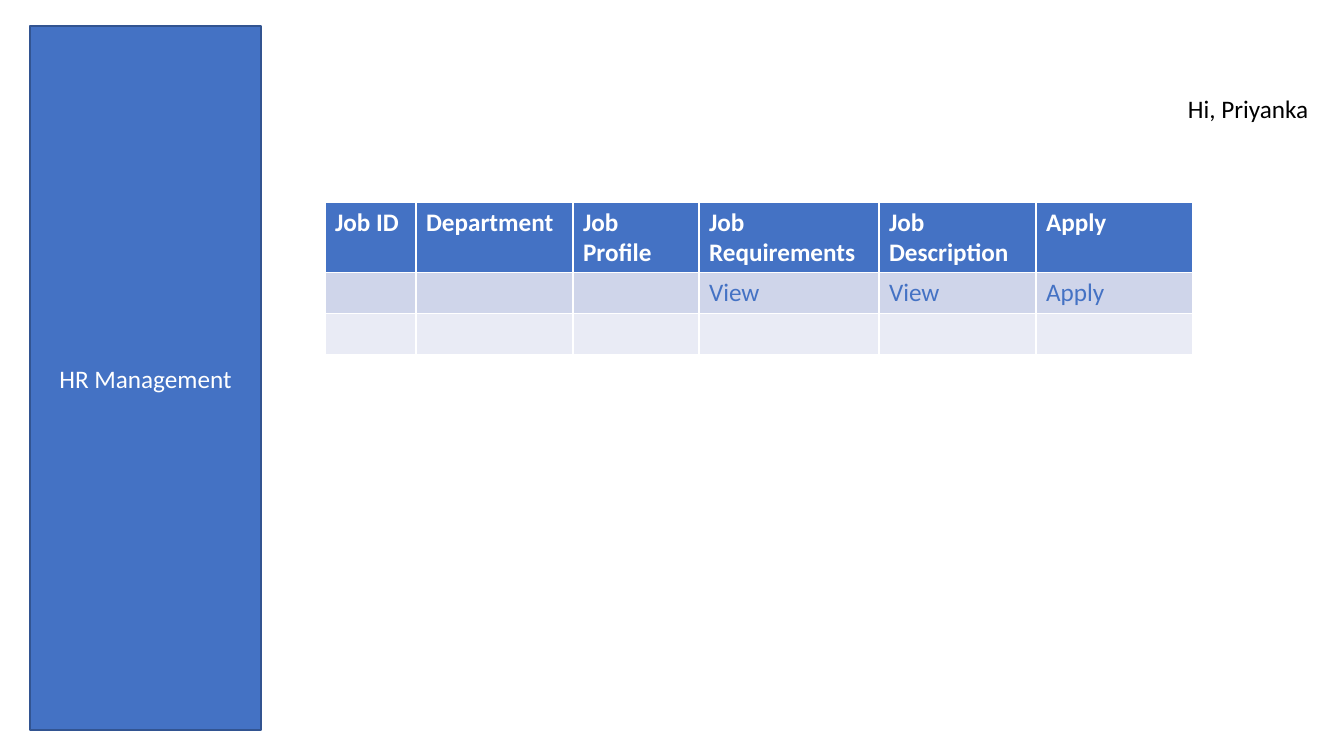
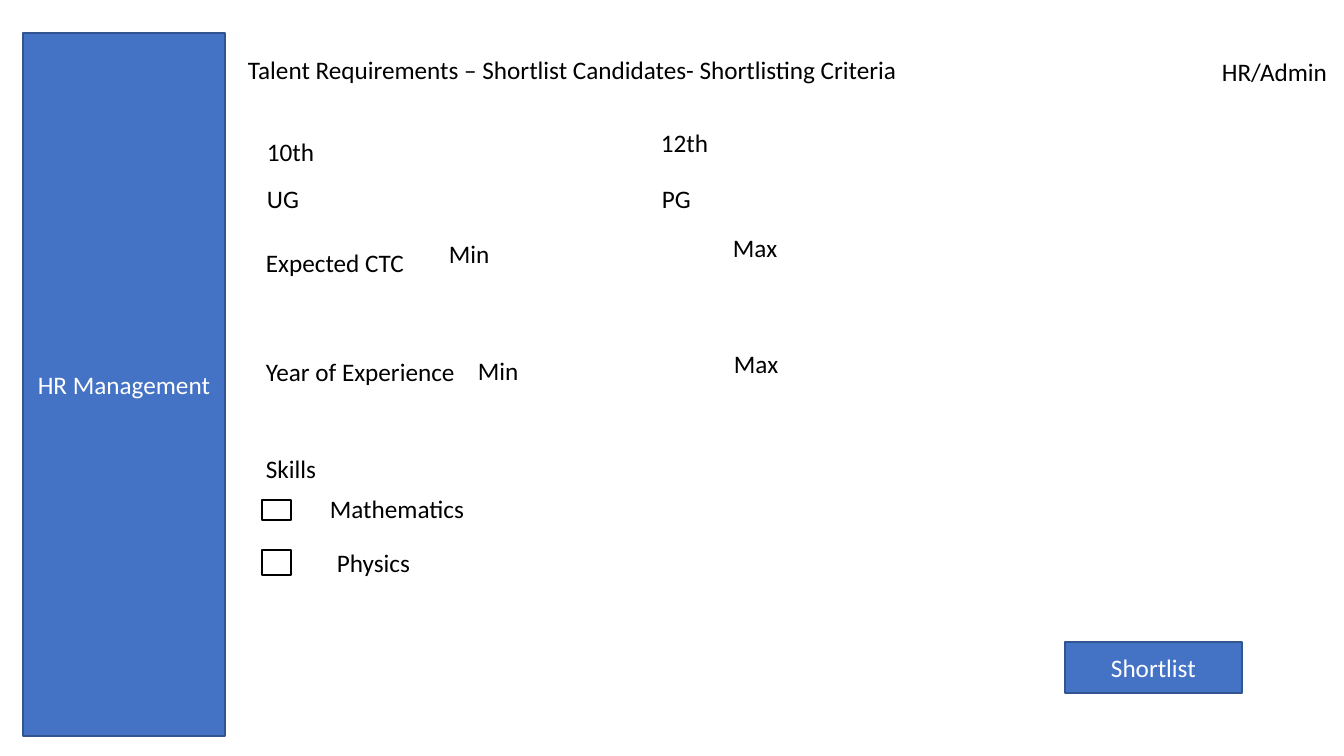
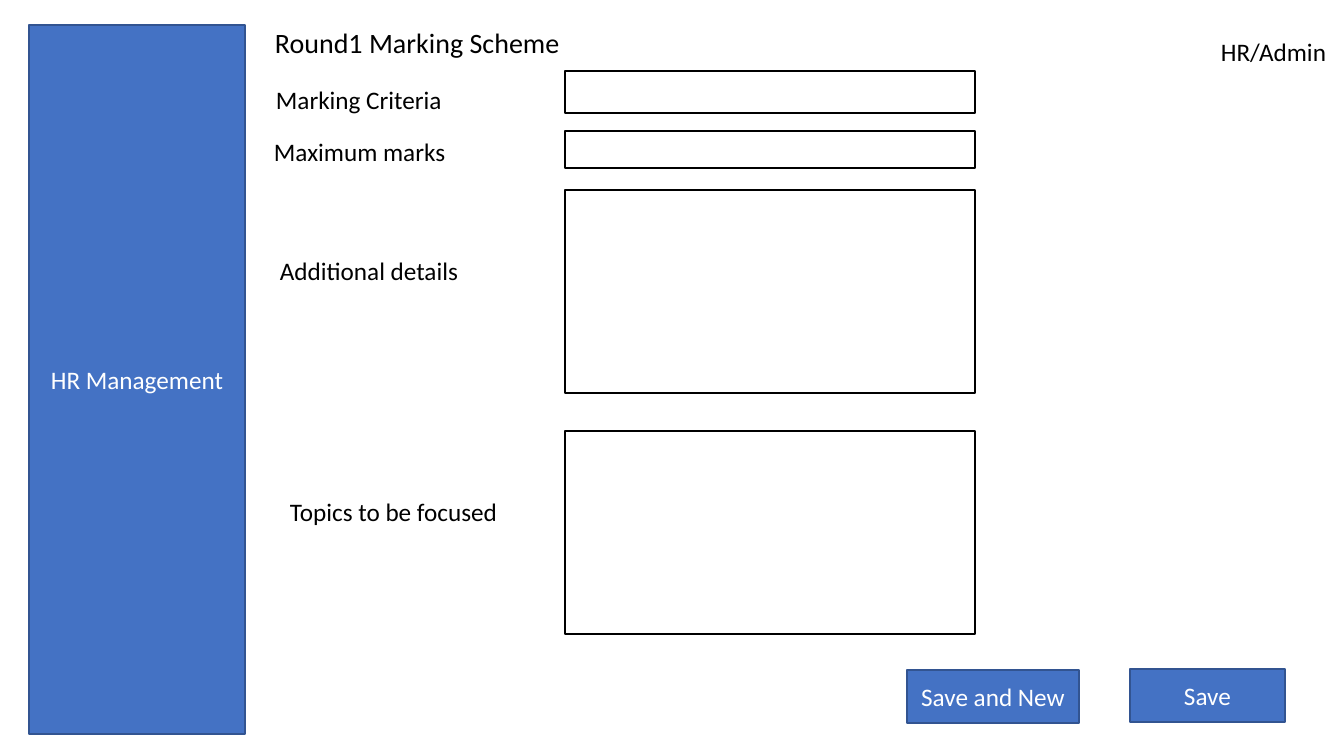
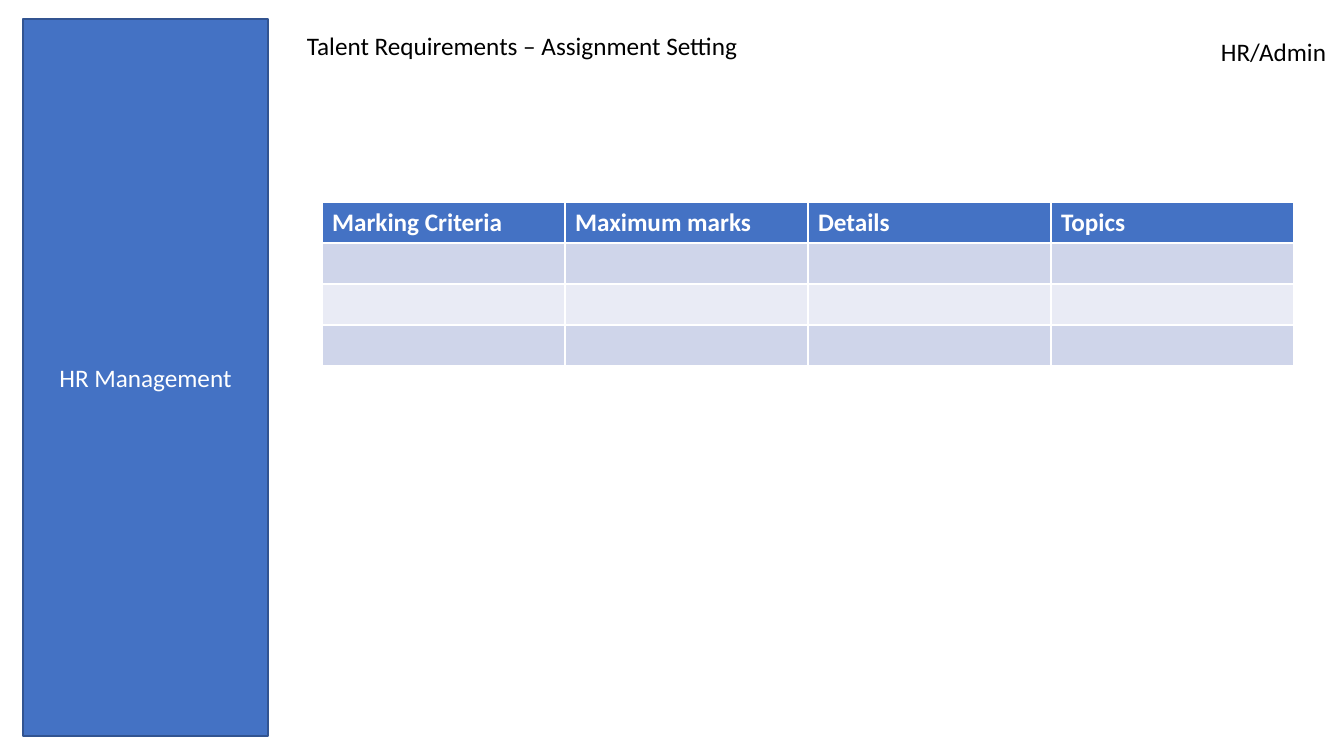
from dataclasses import dataclass

from pptx import Presentation
from pptx.dml.color import RGBColor as RGB
from pptx.enum.shapes import MSO_SHAPE as SHAPE
from pptx.enum.text import MSO_ANCHOR as ANCHOR, MSO_AUTO_SIZE as AUTO, PP_ALIGN as ALIGN
from pptx.util import Pt


@dataclass(frozen=True)
class Theme:
    font: str = "Calibri"
    body: int = 18
    title: int = 20
    blue: RGB = RGB.from_string("4472C4")
    edge: RGB = RGB.from_string("325491")
    white: RGB = RGB.from_string("FFFFFF")
    black: RGB = RGB.from_string("000000")
    bands: tuple = (RGB.from_string("E9EBF5"), RGB.from_string("CFD5EA"))


T = Theme()
PX = 914400 / 100.8
LINE_H = 40


def write(tf, text, size=T.body, color=T.black, bold=False, align=ALIGN.LEFT, spacing=None):
    tf.word_wrap = True
    p = tf.paragraphs[0]
    p.alignment = align
    p.line_spacing = spacing
    p.font.size = Pt(size)
    if text:
        r = p.add_run()
        r.text = text
        r.font.name = T.font
        r.font.size = Pt(size)
        r.font.bold = bold
        r.font.color.rgb = color


def rect(s, x, y, w, h, text="", fill=T.blue, line=T.edge):
    sp = s.shapes.add_shape(SHAPE.RECTANGLE, *(round(v * PX) for v in (x, y, w, h)))
    sp.shadow.inherit = False
    sp.fill.solid()
    sp.fill.fore_color.rgb = fill
    sp.line.color.rgb = line
    sp.line.width = Pt(1)
    sp.text_frame.vertical_anchor = ANCHOR.MIDDLE
    write(sp.text_frame, text, color=T.white, align=ALIGN.CENTER)


prs = Presentation()
prs.slide_width = round(1344 * PX)
prs.slide_height = round(756 * PX)
jobs, shortlist, marking, assignment = [
    prs.slides.add_slide(prs.slide_layouts[6]) for _ in range(4)
]

sidebars = [
    (jobs, 30, 26, 231, 704),
    (shortlist, 23, 33, 202, 703),
    (marking, 29, 25, 216, 709),
    (assignment, 23, 19, 245, 717),
]
for sidebar in sidebars:
    rect(*sidebar, "HR Management")

buttons = [
    (shortlist, 1065, 642, 177, 51, "Shortlist"),
    (marking, 907, 670, 172, 53, "Save and New"),
    (marking, 1130, 669, 155, 53, "Save"),
]
for button in buttons:
    rect(*button)

fields = [
    (shortlist, 262, 500, 29, 20),
    (shortlist, 262, 550, 29, 25),
    (marking, 565, 71, 410, 42),
    (marking, 565, 131, 410, 37),
    (marking, 565, 190, 410, 203),
    (marking, 565, 431, 410, 203),
]
for field in fields:
    rect(*field, fill=T.white, line=T.black)

labels = [
    (jobs, 1178, 88, 147, "Hi, Priyanka"),
    (shortlist, 238, 49, 723, "Talent Requirements – Shortlist Candidates- Shortlisting Criteria"),
    (shortlist, 1212, 51, 129, "HR/Admin"),
    (shortlist, 257, 131, 83, "10th"),
    (shortlist, 651, 122, 83, "12th"),
    (shortlist, 257, 178, 65, "UG"),
    (shortlist, 652, 178, 93, "PG"),
    (shortlist, 256, 242, 173, "Expected CTC"),
    (shortlist, 439, 233, 96, "Min"),
    (shortlist, 723, 227, 104, "Max"),
    (shortlist, 256, 351, 230, "Year of Experience"),
    (shortlist, 468, 350, 91, "Min"),
    (shortlist, 724, 343, 87, "Max"),
    (shortlist, 256, 448, 280, "Skills"),
    (shortlist, 320, 488, 180, "Mathematics"),
    (shortlist, 327, 542, 133, "Physics"),
    (marking, 1211, 31, 129, "HR/Admin"),
    (marking, 266, 79, 203, "Marking Criteria"),
    (marking, 264, 131, 203, "Maximum marks"),
    (marking, 270, 250, 204, "Additional details"),
    (marking, 280, 491, 237, "Topics to be focused"),
    (assignment, 297, 25, 497, "Talent Requirements – Assignment Setting"),
    (assignment, 1211, 31, 129, "HR/Admin"),
]
for s, x, y, w, text in labels:
    sp = s.shapes.add_textbox(*(round(v * PX) for v in (x, y, w, LINE_H)))
    write(sp.text_frame, text)
    sp.text_frame.auto_size = AUTO.SHAPE_TO_FIT_TEXT

body = marking.shapes.add_textbox(*(round(v * PX) for v in (265, 24, 1050, 709)))
write(body.text_frame, "Round1 Marking Scheme", size=T.title, spacing=0.9)

tables = [
    (jobs, 325, [91, 157, 126, 180, 157, 157], [70, 41, 41], [
        ["Job ID", "Department", "Job Profile", "Job Requirements", "Job Description", "Apply"],
        ["", "", "", "View", "View", "Apply"],
        [""] * 6,
    ]),
    (assignment, 322, [243] * 4, [41] * 4, [
        ["Marking Criteria", "Maximum marks", "Details", "Topics"],
        *[[""] * 4] * 3,
    ]),
]
for s, left, widths, heights, rows in tables:
    frame = (left, 202, sum(widths), sum(heights))
    table = s.shapes.add_table(len(rows), len(widths), *(round(v * PX) for v in frame)).table
    for column, w in zip(table.columns, widths):
        column.width = round(w * PX)
    for i, (row, h, texts) in enumerate(zip(table.rows, heights, rows)):
        row.height = round(h * PX)
        header = i == 0
        for cell, text in zip(row.cells, texts):
            cell.fill.solid()
            cell.fill.fore_color.rgb = T.blue if header else T.bands[i % 2]
            write(cell.text_frame, text, color=T.white if header else T.blue, bold=header)

prs.save("out.pptx")
